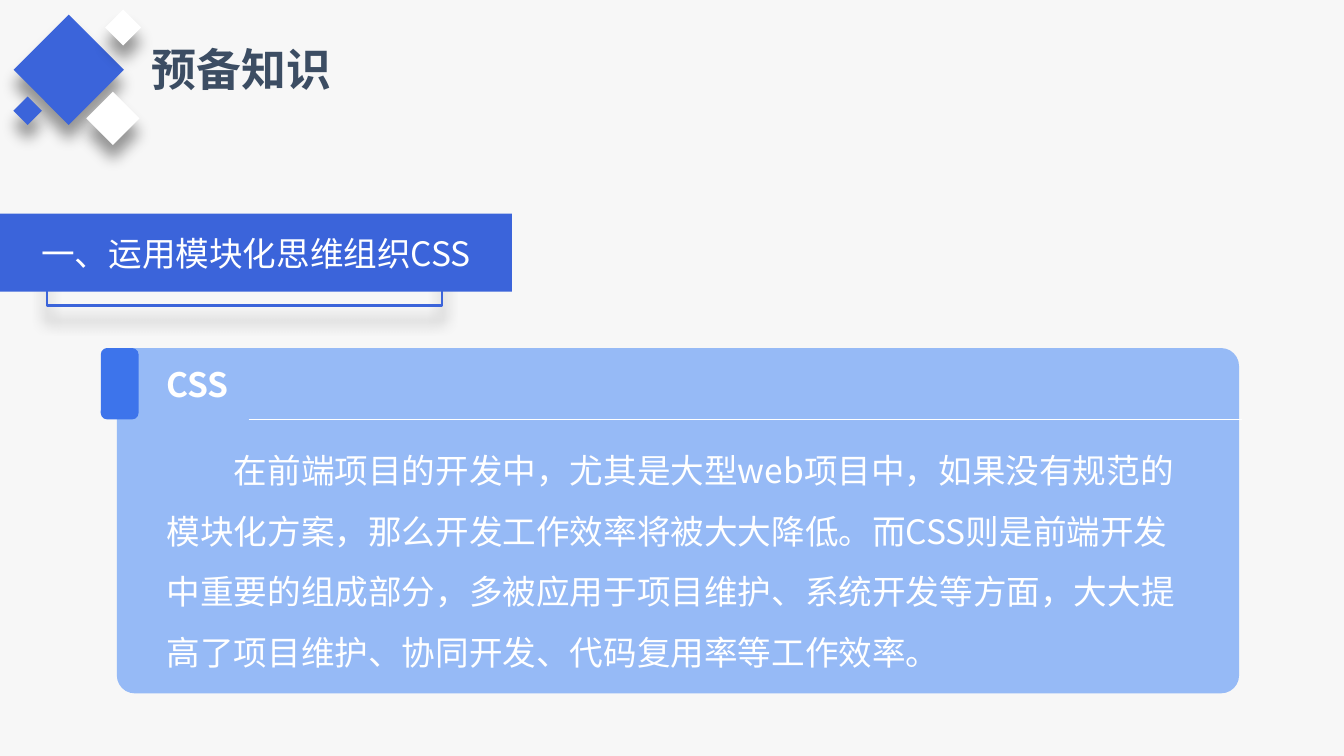
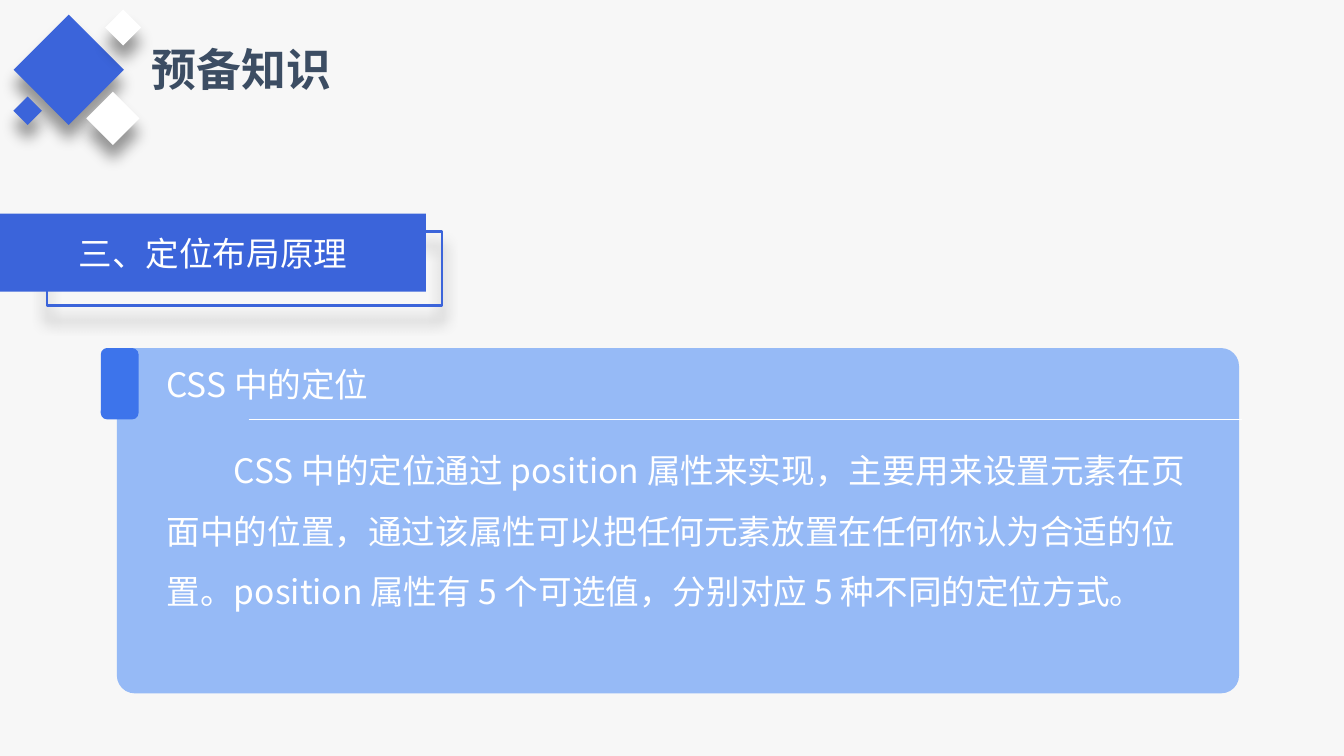
import lxml.etree
import pptx
import pptx.dml.color
import pptx.enum.shapes
import pptx.enum.text
import pptx.oxml.ns
import pptx.util

Pt = pptx.util.Pt
qn = pptx.oxml.ns.qn
SHAPE = pptx.enum.shapes.MSO_SHAPE
ALIGN = pptx.enum.text.PP_ALIGN
ANCHOR = pptx.enum.text.MSO_ANCHOR
AUTO = pptx.enum.text.MSO_AUTO_SIZE

FONT = "Noto Sans CJK SC"
COLORS = {
    "background": "F7F7F7",
    "title": "3C4D63",
    "primary": "3B64DA",
    "marker": "3D74EB",
    "panel": "96BAF6",
    "white": "FFFFFF",
    "shadow": "000000",
}
TITLE_BOX = (74.2, 18.7, 110.9, 36)
EMBLEM_BOX = (9.4, 7.9, 63, 66)
BANNER_TOP, BANNER_HEIGHT = 114.5, 41.8
PANEL_BOX = (62.6, 186.5, 601.2, 185)
DIAMONDS = [
    (6.5, 8.6, 41.8, "primary"),
    (41, 45.4, 20.2, "white"),
    (49.7, 0, 13.7, "white"),
    (0, 46.1, 10.8, "primary"),
]
TITLE = "预备知识"
TOPICS = [
    {
        "banner": "一、运用模块化思维组织CSS",
        "banner_width": 274.3,
        "heading": "CSS",
        "heading_bold": True,
        "body": "在前端项目的开发中，尤其是大型web项目中，如果没有规范的模块化方案，"
                "那么开发工作效率将被大大降低。而CSS则是前端开发中重要的组成部分，"
                "多被应用于项目维护、系统开发等方面，大大提高了项目维护、协同开发、"
                "代码复用率等工作效率。",
    },
    {
        "banner": "三、定位布局原理",
        "banner_width": 228.2,
        "heading": "CSS 中的定位",
        "heading_bold": False,
        "body": "CSS 中的定位通过 position 属性来实现，主要用来设置元素在页面中的位置，"
                "通过该属性可以把任何元素放置在任何你认为合适的位置。"
                "position 属性有 5 个可选值，分别对应 5 种不同的定位方式。",
    },
]


def rgb(name):
    return pptx.dml.color.RGBColor.from_string(COLORS[name])


def apply_format(target, values):
    for attribute, value in values.items():
        setattr(target, attribute, value)


def place(item, box):
    apply_format(item, dict(zip(("left", "top", "width", "height"), map(Pt, box))))


def write(item, text, color="white", size=18, bold=False, frame=None, paragraph=None):
    text_frame = item.text_frame
    text_frame.text = text
    apply_format(text_frame, {"word_wrap": True, "vertical_anchor": ANCHOR.TOP, **(frame or {})})
    line = text_frame.paragraphs[0]
    apply_format(line, {"alignment": ALIGN.LEFT, "space_before": Pt(0), **(paragraph or {})})
    font = line.runs[0].font
    apply_format(font, {"name": FONT, "size": Pt(size), "bold": bold})
    font.color.rgb = rgb(color)
    east_asian = lxml.etree.SubElement(line.runs[0]._r.rPr, qn("a:ea"))
    east_asian.set("typeface", FONT)
    return line


def add_block(slide, kind, box, fill=None, outline=None, shadow=False):
    block = slide.shapes.add_shape(kind, *map(Pt, box))
    block.shadow.inherit = False
    if fill:
        block.fill.solid()
        block.fill.fore_color.rgb = rgb(fill)
    else:
        block.fill.background()
    if outline:
        block.line.color.rgb = rgb(outline)
        block.line.width = Pt(1.5)
    else:
        block.line.fill.background()
    if shadow:
        effects = block._element.spPr.find(qn("a:effectLst"))
        outer = lxml.etree.SubElement(
            effects, qn("a:outerShdw"), blurRad=str(Pt(8)), dist=str(Pt(8)),
            dir="5400000", algn="t", rotWithShape="0")
        tint = lxml.etree.SubElement(outer, qn("a:srgbClr"), val=COLORS["shadow"])
        lxml.etree.SubElement(tint, qn("a:alpha"), val="40000")
    return block


def add_title(slide, box):
    title = slide.shapes.title
    place(title, box)
    write(title, TITLE, "title", 24, True,
          {"word_wrap": False, "auto_size": AUTO.SHAPE_TO_FIT_TEXT})


def add_emblem(slide, box):
    left, top = box[:2]
    for dx, dy, side, fill in DIAMONDS:
        diamond = add_block(slide, SHAPE.RECTANGLE, (left + dx, top + dy, side, side),
                            fill, shadow=True)
        diamond.rotation = 45


def add_banner(slide, box, text):
    left, top = box[:2]
    add_block(slide, SHAPE.RECTANGLE, (left + 25.2, top + 9.4, 211.7, 39.6),
              outline="primary", shadow=True)
    banner = add_block(slide, SHAPE.RECTANGLE, box, "primary")
    write(banner, text, frame={"vertical_anchor": ANCHOR.MIDDLE},
          paragraph={"alignment": ALIGN.CENTER})


def add_panel(slide, box, topic):
    left, top, width, height = box
    rule_top = top + 38.2
    panel = add_block(slide, SHAPE.ROUNDED_RECTANGLE, box, "panel")
    panel.adjustments[0] = 0.052
    add_block(slide, SHAPE.ROUNDED_RECTANGLE, (left - 8.6, top, 20.2, 38.2), "marker")

    heading = slide.shapes.add_textbox(*map(Pt, (left + 19.5, top + 5, 400.3, 28.8)))
    write(heading, topic["heading"], bold=topic["heading_bold"],
          frame={"auto_size": AUTO.SHAPE_TO_FIT_TEXT})

    rule = slide.shapes.add_connector(
        pptx.enum.shapes.MSO_CONNECTOR.STRAIGHT,
        *map(Pt, (left + 70.6, rule_top, left + width + 1.4, rule_top)))
    rule.line.color.rgb = rgb("white")
    rule.line.width = Pt(0.25)
    lxml.etree.SubElement(rule._element.spPr, qn("a:effectLst"))

    body = slide.placeholders[1]
    place(body, (left + 19.5, top + 40.3, 563, 138.2))
    paragraph = write(body, topic["body"], frame={"auto_size": AUTO.SHAPE_TO_FIT_TEXT},
                      paragraph={"line_spacing": 1.5})
    properties = paragraph._p.get_or_add_pPr()
    properties.set("marL", "0")
    properties.set("indent", str(Pt(36)))
    lxml.etree.SubElement(properties, qn("a:buNone"))
    slide.shapes._spTree.append(body._element)


def add_topic_slide(deck, topic):
    slide = deck.slides.add_slide(deck.slide_layouts[1])
    add_title(slide, TITLE_BOX)
    add_emblem(slide, EMBLEM_BOX)
    add_banner(slide, (0, BANNER_TOP, topic["banner_width"], BANNER_HEIGHT), topic["banner"])
    add_panel(slide, PANEL_BOX, topic)


def main():
    deck = pptx.Presentation()
    apply_format(deck, {"slide_width": Pt(720), "slide_height": Pt(405)})
    backdrop = deck.slide_master.background.fill
    backdrop.solid()
    backdrop.fore_color.rgb = rgb("background")
    for topic in TOPICS:
        add_topic_slide(deck, topic)
    deck.save("out.pptx")


if __name__ == "__main__":
    main()
